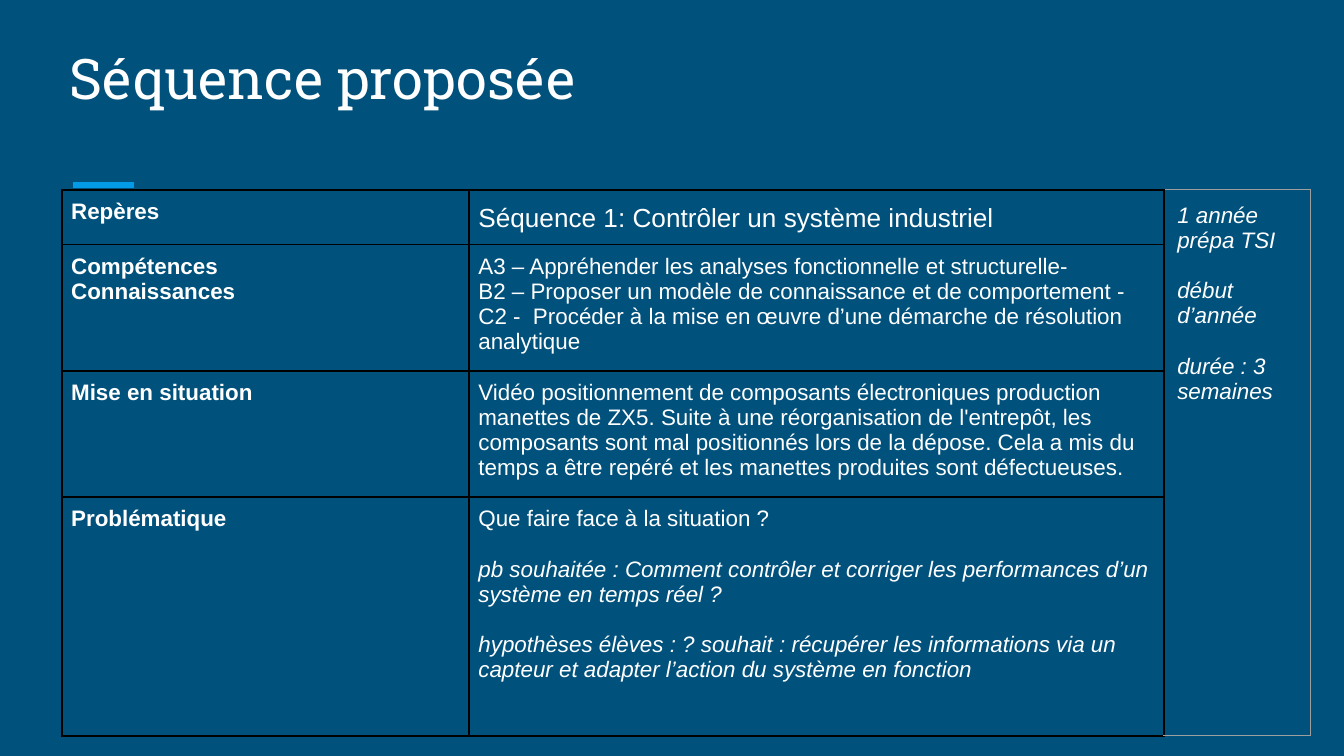
from lxml.etree import SubElement
from pptx import Presentation
from pptx.dml.color import RGBColor
from pptx.enum.shapes import MSO_CONNECTOR as Connector
from pptx.enum.text import MSO_ANCHOR as Anchor
from pptx.oxml import parse_xml
from pptx.oxml.ns import nsdecls, qn
from pptx.util import Inches, Pt

# Colours
NAVY = RGBColor(0x00, 0x51, 0x7C)
SKY = RGBColor(0x03, 0x9B, 0xE5)
WHITE = RGBColor(0xFF, 0xFF, 0xFF)
BLACK = RGBColor(0x00, 0x00, 0x00)
GREY = RGBColor(0x9E, 0x9E, 0x9E)

# Slide size; lengths below are percentages of it
WIDTH, HEIGHT = Inches(10), Inches(5.625)
COLUMNS = (30.3, 51.7, 10.9)
ROWS = (6.9, 15.8, 15.8, 30.2)
LEFT, TOP = 4.6, 25.1

# Text formats
TITLE = {"name": "Roboto Slab", "size": Pt(30)}
BODY = {"name": "Arial", "size": Pt(12), "bold": False, "italic": False}
LABEL = BODY | {"bold": True}
HEADING = BODY | {"size": Pt(14)}
NOTE = BODY | {"italic": True}
BLANK_LINE = Pt(13.5)

SEQUENCE = (
    (["Repères"], [("Séquence 1: Contrôler un système industriel", HEADING)]),
    (["Compétences", "Connaissances"], [
        ("A3 – Appréhender les analyses fonctionnelle et structurelle-", BODY),
        ("B2 – Proposer un modèle de connaissance et de comportement - "
         "C2 -  Procéder à la mise en œuvre d’une démarche de résolution "
         "analytique", BODY)]),
    (["Mise en situation"], [
        ("Vidéo positionnement de composants électroniques production "
         "manettes de ZX5. Suite à une réorganisation de l'entrepôt, les "
         "composants sont mal positionnés lors de la dépose. Cela a mis du "
         "temps a être repéré et les manettes produites sont défectueuses.",
         BODY)]),
    (["Problématique"], [
        ("Que faire face à la situation ?", BODY),
        ("pb souhaitée : Comment contrôler et corriger les performances d’un "
         "système en temps réel ?", NOTE),
        ("hypothèses élèves : ? souhait : récupérer les informations via un "
         "capteur et adapter l’action du système en fonction", NOTE)]),
)
CONTEXT = ("1 année prépa TSI", "début d’année", "durée : 3 semaines")


def across(percent):
    return round(WIDTH * percent / 100)


def down(percent):
    return round(HEIGHT * percent / 100)


def set_margins(target, margin):
    for side in ("left", "right", "top", "bottom"):
        setattr(target, f"margin_{side}", Inches(margin))


def write(frame, paragraphs):
    """Write (text, format) pairs; a note is set off by one line."""
    frame.word_wrap = True
    for index, (text, style) in enumerate(paragraphs):
        paragraph = frame.add_paragraph() if index else frame.paragraphs[0]
        if index and style is NOTE:
            paragraph.space_before = BLANK_LINE
        if style is HEADING:
            paragraph.line_spacing = 1.15
        run = paragraph.add_run()
        run.text = text
        run.font.color.rgb = WHITE
        for attribute, value in style.items():
            setattr(run.font, attribute, value)


def set_borders(cell, borders):
    """Draw the (colour, points) of the left, right, top and bottom edges."""
    properties = cell._tc.get_or_add_tcPr()
    for index, (edge, (colour, points)) in enumerate(zip("LRTB", borders)):
        properties.insert(index, parse_xml(
            f'<a:ln{edge} {nsdecls("a")} w="{Pt(points)}"><a:solidFill>'
            f'<a:srgbClr val="{colour}"/></a:solidFill></a:ln{edge}>'))


def fill_cell(cell, paragraphs, margin=0.07):
    set_margins(cell, margin)
    cell.vertical_anchor = Anchor.TOP
    write(cell.text_frame, paragraphs)


def add_title(slide, text):
    title = slide.shapes.add_textbox(across(4.2), down(3), across(91.5), down(13.4))
    set_margins(title.text_frame, 0.1)
    title.text_frame.vertical_anchor = Anchor.BOTTOM
    write(title.text_frame, [(text, TITLE)])


def add_accent(slide):
    accent = slide.shapes.add_connector(
        Connector.STRAIGHT, across(5.4), down(24.5), across(10), down(24.5))
    accent.line.color.rgb = SKY
    accent.line.width = Pt(3)
    SubElement(accent._element.spPr, qn("a:effectLst"))


def add_sequence_table(slide):
    table = slide.shapes.add_table(
        len(ROWS), len(COLUMNS), across(LEFT), down(TOP),
        across(sum(COLUMNS)), down(sum(ROWS))).table
    table.first_row = table.horz_banding = False
    for column, share in zip(table.columns, COLUMNS):
        column.width = across(share)
    for row, share in zip(table.rows, ROWS):
        row.height = down(share)

    # Plain cells: black grid, grey frame around the context column
    dark, light = (BLACK, 1), (GREY, 0.75)
    for row in table.rows:
        *main_cells, context_cell = row.cells
        for cell in row.cells:
            cell.fill.background()
        for cell in main_cells:
            set_borders(cell, [dark] * 4)
        set_borders(context_cell, [dark, light, light, light])

    # Labels and their contents
    for index, (labels, contents) in enumerate(SEQUENCE):
        fill_cell(table.cell(index, 0), [(label, LABEL) for label in labels])
        fill_cell(table.cell(index, 1), contents)

    # Context beside all rows
    context = table.cell(0, 2)
    context.merge(table.cell(len(ROWS) - 1, 2))
    fill_cell(context, [(text, NOTE) for text in CONTEXT], margin=0.1)


def main():
    deck = Presentation()
    deck.slide_width, deck.slide_height = WIDTH, HEIGHT
    slide = deck.slides.add_slide(deck.slide_layouts[6])
    slide.background.fill.solid()
    slide.background.fill.fore_color.rgb = NAVY
    add_accent(slide)
    add_title(slide, "Séquence proposée")
    add_sequence_table(slide)
    deck.save("out.pptx")


if __name__ == "__main__":
    main()
